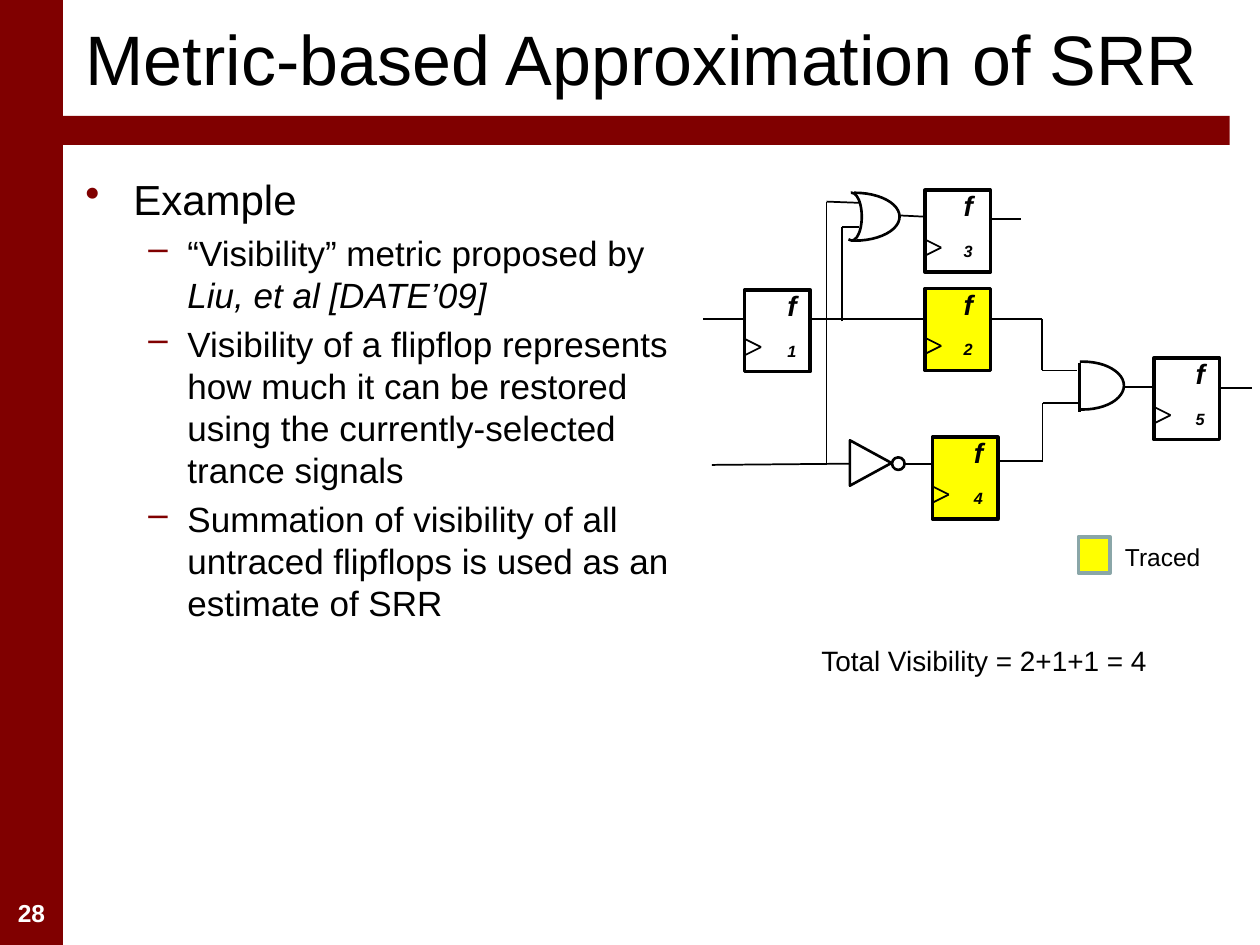
from dataclasses import dataclass

from lxml.etree import SubElement
from pptx import Presentation
from pptx.dml.color import RGBColor
from pptx.enum.shapes import MSO_CONNECTOR, MSO_SHAPE
from pptx.enum.text import MSO_ANCHOR, PP_ALIGN
from pptx.oxml.ns import qn
from pptx.util import Emu, Inches, Pt

MAROON = RGBColor(0x80, 0x00, 0x00)
BLACK = RGBColor(0x00, 0x00, 0x00)
WHITE = RGBColor(0xFF, 0xFF, 0xFF)
YELLOW = RGBColor(0xFF, 0xFF, 0x00)
GREY_BLUE = RGBColor(0x8A, 0xA6, 0xA8)
FONT = "Arial"
COLUMNS = 100
ROWS = 75
SLIDE_WIDTH = Inches(10)
SLIDE_HEIGHT = Inches(7.5)


@dataclass(frozen=True)
class Box:
    column: float
    row: float
    columns: float
    rows: float

    def lengths(self) -> tuple[Emu, Emu, Emu, Emu]:
        return across(self.column), down(self.row), across(self.columns), down(self.rows)


@dataclass(frozen=True)
class FlipFlop:
    number: str
    column: float
    row: float
    label_shift: float
    fill: RGBColor


@dataclass(frozen=True)
class Bullet:
    text: str
    italic_text: str = ""
    symbol: str = "–"
    size: int = 20
    indent: float = 0.81
    hanging: float = 0.31


FLIP_FLOPS = (
    FlipFlop("1", 59.1, 23.0, 2.4, WHITE),
    FlipFlop("2", 73.4, 22.9, 2.1, YELLOW),
    FlipFlop("4", 74.0, 34.7, 2.3, YELLOW),
    FlipFlop("5", 91.6, 28.4, 2.3, WHITE),
    FlipFlop("3", 73.4, 15.1, 2.1, WHITE),
)
WIRES = (
    ((55.8, 25.3), (59.1, 25.3)),
    ((64.4, 25.3), (73.5, 25.3)),
    ((78.7, 25.3), (82.7, 25.3), (82.7, 29.4), (85.5, 29.4)),
    ((79.2, 36.6), (82.75, 36.6), (82.75, 32), (85.6, 32)),
    ((89.2, 30.7), (91.6, 30.7)),
    ((96.8, 30.8), (99.4, 30.8)),
    ((56.5, 36.9), (67.5, 36.8)),
    ((65.6, 36.9), (65.6, 16), (68.2, 16.1)),
    ((66.8, 25.5), (66.8, 18), (68.2, 18)),
    ((71.4, 17.1), (73.4, 17.2)),
    ((78.6, 17.4), (81, 17.4)),
    ((71.8, 36.8), (74, 36.8)),
)
ARCS = (
    (Box(82.7, 28.7, 6.5, 3.8), (157.631, 57.358)),
    (Box(64.3, 15.3, 7.1, 3.8), (160.793, 58.872)),
    (Box(66.8, 15.3, 1.6, 3.8), (160.793, 58.872)),
)
BULLETS = (
    Bullet("Example", symbol="•", size=24, indent=0.38, hanging=0.38),
    Bullet("“Visibility” metric proposed by ", "Liu, et al [DATE’09]"),
    Bullet("Visibility of a flipflop represents how much it can be restored "
           "using the currently-selected trance signals"),
    Bullet("Summation of visibility of all untraced flipflops is used as an "
           "estimate of SRR"),
)


def across(columns: float) -> Emu:
    return Emu(round(SLIDE_WIDTH * columns / COLUMNS))


def down(rows: float) -> Emu:
    return Emu(round(SLIDE_HEIGHT * rows / ROWS))


def format_font(font, size: float, color: RGBColor = BLACK, bold: bool = False,
                italic: bool = False) -> None:
    font.name, font.size = FONT, Pt(size)
    font.bold, font.italic = bold, italic
    font.color.rgb = color


def draw_shape(slide, kind, box: Box, fill: RGBColor | None = None,
               line: RGBColor | None = None, width: float = 1.5):
    shape = slide.shapes.add_shape(kind, *box.lengths())
    shape.shadow.inherit = False
    if fill is None:
        shape.fill.background()
    else:
        shape.fill.solid()
        shape.fill.fore_color.rgb = fill
    if line is None:
        shape.line.fill.background()
    else:
        shape.line.color.rgb = line
        shape.line.width = Pt(width)
    return shape


def draw_path(slide, points: tuple, width: float = 1) -> None:
    for start, end in zip(points, points[1:]):
        connector = slide.shapes.add_connector(
            MSO_CONNECTOR.STRAIGHT, across(start[0]), down(start[1]),
            across(end[0]), down(end[1]))
        connector.line.color.rgb = BLACK
        connector.line.width = Pt(width)
        SubElement(connector._element.spPr, qn("a:effectLst"))


def add_text(slide, box: Box, text: str, size: float, color: RGBColor = BLACK,
             bold: bool = False, italic: bool = False):
    text_frame = slide.shapes.add_textbox(*box.lengths()).text_frame
    text_frame.word_wrap = True
    paragraph = text_frame.paragraphs[0]
    paragraph.text = text
    format_font(paragraph.runs[0].font, size, color, bold, italic)
    return paragraph


def draw_flip_flop(slide, latch: FlipFlop) -> None:
    column, row = latch.column, latch.row
    draw_shape(slide, MSO_SHAPE.RECTANGLE, Box(column, row, 5.2, 6.5), latch.fill, BLACK, 2)
    draw_path(slide, ((column, row + 3.9), (column + 1.3, row + 4.55), (column, row + 5.2)))
    label = Box(column + latch.label_shift, row - 0.6, 2.9, 3.2)
    paragraph = add_text(slide, label, "f", 16, bold=True, italic=True)
    subscript = paragraph.add_run()
    subscript.text = latch.number
    format_font(subscript.font, 16, bold=True, italic=True)
    subscript.font._element.set("baseline", "-25000")


def add_bullets(slide, box: Box) -> None:
    text_frame = slide.shapes.add_textbox(*box.lengths()).text_frame
    text_frame.word_wrap = True
    for index, bullet in enumerate(BULLETS):
        paragraph = text_frame.add_paragraph() if index else text_frame.paragraphs[0]
        properties = paragraph._p.get_or_add_pPr()
        properties.set("marL", str(Inches(bullet.indent)))
        properties.set("indent", str(-Inches(bullet.hanging)))
        color = SubElement(properties, qn("a:buClr"))
        SubElement(color, qn("a:srgbClr"), val=str(MAROON))
        SubElement(properties, qn("a:buChar"), char=bullet.symbol)
        if index:
            paragraph.level = 1
            paragraph.space_before = Pt(bullet.size * 0.2)
        for text, italic in ((bullet.text, False), (bullet.italic_text, True)):
            if text:
                run = paragraph.add_run()
                run.text = text
                format_font(run.font, bullet.size, italic=italic)


def add_title(slide) -> None:
    title = slide.shapes.title
    title.left, title.top, title.width, title.height = Box(5.8, -0.8, 91.7, 10.8).lengths()
    title.text_frame.text = "Metric-based Approximation of SRR"
    title.text_frame.vertical_anchor = MSO_ANCHOR.MIDDLE
    paragraph = title.text_frame.paragraphs[0]
    paragraph.alignment = PP_ALIGN.LEFT
    format_font(paragraph.runs[0].font, 40)


def draw_circuit(slide) -> None:
    for latch in FLIP_FLOPS:
        draw_flip_flop(slide, latch)
    for points in WIRES:
        draw_path(slide, points)
    for box, angles in ARCS:
        arc = draw_shape(slide, MSO_SHAPE.ARC, box, line=BLACK)
        arc.adjustments[0], arc.adjustments[1] = angles
    draw_path(slide, ((85.7, 28.8), (85.7, 32.7)), 1.5)
    inverter = draw_shape(slide, MSO_SHAPE.ISOSCELES_TRIANGLE,
                          Box(67.3, 35.1, 3.6, 3.3), line=BLACK)
    inverter.rotation = 90
    draw_shape(slide, MSO_SHAPE.OVAL, Box(70.8, 36.3, 1, 1), line=BLACK)


def main() -> None:
    """Build the slide on visibility metrics with its flip-flop circuit."""
    presentation = Presentation()
    presentation.slide_width, presentation.slide_height = SLIDE_WIDTH, SLIDE_HEIGHT
    slide = presentation.slides.add_slide(presentation.slide_layouts[5])
    for band in (Box(0, 0, 5, ROWS), Box(4.2, 9.2, 93.4, 2.3)):
        draw_shape(slide, MSO_SHAPE.RECTANGLE, band, MAROON)
    page_number = add_text(slide, Box(0, 70.8, 5, 3.3), "28", 14, WHITE, bold=True)
    page_number.alignment = PP_ALIGN.CENTER
    add_title(slide)
    add_bullets(slide, Box(5.8, 13.3, 48.6, 58.3))
    draw_circuit(slide)
    draw_shape(slide, MSO_SHAPE.RECTANGLE, Box(85.6, 42.6, 2.5, 2.9), YELLOW, GREY_BLUE, 2)
    add_text(slide, Box(88.3, 42.5, 8, 3.4), "Traced", 14)
    add_text(slide, Box(64.2, 50.6, 28.9, 3.7), "Total Visibility = 2+1+1 = 4", 16)
    presentation.save("out.pptx")


if __name__ == "__main__":
    main()
